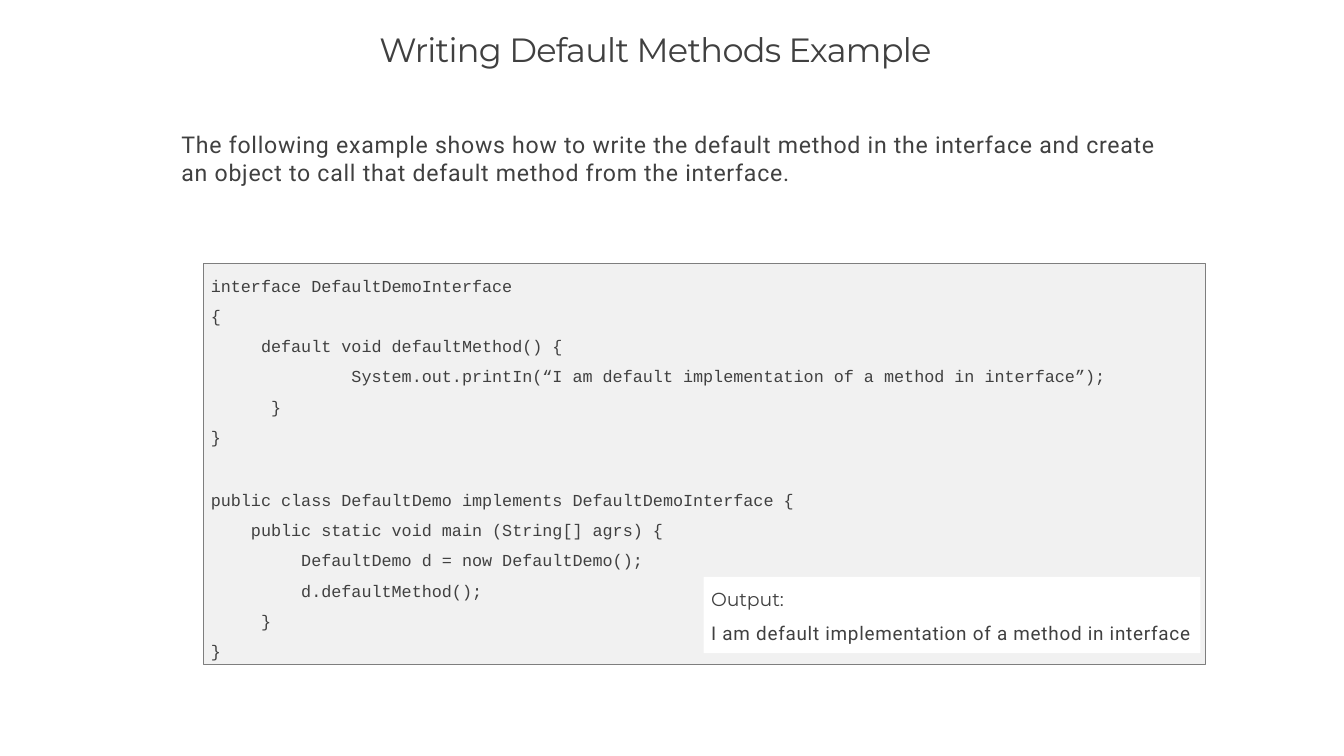
from pptx import Presentation
from pptx.dml.color import RGBColor
from pptx.enum.shapes import MSO_SHAPE
from pptx.enum.text import MSO_ANCHOR, MSO_AUTO_SIZE, PP_ALIGN
from pptx.oxml.xmlchemy import OxmlElement
from pptx.util import Inches, Pt

RECTANGLE = MSO_SHAPE.RECTANGLE
TOP = MSO_ANCHOR.TOP
LEFT = PP_ALIGN.LEFT
NO_AUTOFIT = MSO_AUTO_SIZE.NONE

THEME = {
    "text": RGBColor(0x40, 0x40, 0x40),
    "code_fill": RGBColor(0xF1, 0xF1, 0xF1),
    "code_line": RGBColor(0x7E, 0x7E, 0x7E),
    "output_fill": RGBColor(0xFF, 0xFF, 0xFF),
    "heading_font": "Montserrat",
    "body_font": "Roboto",
    "code_font": "Courier New",
    "title_size": Pt(32),
    "body_size": Pt(22),
    "output_size": Pt(18),
    "code_size": Pt(16),
}

CODE = """interface DefaultDemoInterface
{
     default void defaultMethod() {
              System.out.printIn(“I am default implementation of a method in interface”);
      }
}

public class DefaultDemo implements DefaultDemoInterface {
    public static void main (String[] agrs) {
         DefaultDemo d = now DefaultDemo();
         d.defaultMethod();
     }
}"""
CODE_PITCH = Pt(28.8)
BLANK_LINE = Pt(31.2)


def prepare_frame(shape, box, left_inset=0, top_inset=0):
    """Place a shape and return its text frame, set from the top left."""
    shape.left, shape.top, shape.width, shape.height = map(Inches, box)
    frame = shape.text_frame
    settings = {
        "margin_left": Inches(left_inset), "margin_top": Inches(top_inset),
        "margin_right": 0, "margin_bottom": 0, "word_wrap": True,
        "auto_size": NO_AUTOFIT, "vertical_anchor": TOP,
    }
    for name, value in settings.items():
        setattr(frame, name, value)
    return frame


def write_paragraph(paragraph, text, font, size, tracking=0, before=0, line_spacing=1.0):
    """Write one unbulleted paragraph; tracking is letter spacing in points."""
    properties = paragraph._p.get_or_add_pPr()
    properties.set("marL", "0")
    properties.set("indent", "0")
    properties.append(OxmlElement("a:buNone"))
    paragraph.alignment = LEFT
    paragraph.space_before = before
    paragraph.line_spacing = line_spacing
    run = paragraph.add_run()
    run.text = text
    for name, value in {"name": font, "size": size}.items():
        setattr(run.font, name, value)
    run.font.color.rgb = THEME["text"]
    if tracking:
        run._r.get_or_add_rPr().set("spc", str(round(tracking * 100)))


presentation = Presentation()
presentation.slide_width = Inches(17.78)
presentation.slide_height = Inches(10)
slide = presentation.slides.add_slide(presentation.slide_layouts[1])

# Title and introduction
title_frame = prepare_frame(slide.shapes.title, (1.08, 0.38, 15.63, 0.65), left_inset=3.94)
write_paragraph(title_frame.paragraphs[0], "Writing Default Methods Example",
                THEME["heading_font"], THEME["title_size"], tracking=-0.7)

intro_frame = prepare_frame(slide.placeholders[1], (2.4, 1.73, 13.18, 0.76))
write_paragraph(
    intro_frame.paragraphs[0],
    "The following example shows how to write the default method in the interface "
    "and create an object to call that default method from the interface.",
    THEME["body_font"], THEME["body_size"], tracking=0.75)

# Code panel with the output panel over its lower right corner
panels = [
    ((2.69, 3.49, 13.25, 5.3), 0.02, THEME["code_fill"], THEME["code_line"]),
    ((9.31, 7.63, 6.57, 1.01), 0.14, THEME["output_fill"], None),
]
frames = []
for box, top_inset, fill, line in panels:
    panel = slide.shapes.add_shape(RECTANGLE, 0, 0, 0, 0)
    panel.shadow.inherit = False
    panel.fill.solid()
    panel.fill.fore_color.rgb = fill
    if line is None:
        panel.line.fill.background()
    else:
        panel.line.color.rgb = line
        panel.line.width = Pt(0.72)
    frames.append(prepare_frame(panel, box, left_inset=0.1, top_inset=top_inset))
code_frame, output_frame = frames

for block_index, block in enumerate(CODE.split("\n\n")):
    for line_index, code_line in enumerate(block.split("\n")):
        first = block_index == line_index == 0
        paragraph = code_frame.paragraphs[0] if first else code_frame.add_paragraph()
        gap = BLANK_LINE if block_index and line_index == 0 else 0
        write_paragraph(paragraph, code_line, THEME["code_font"], THEME["code_size"],
                        before=gap, line_spacing=CODE_PITCH)

write_paragraph(output_frame.paragraphs[0], "Output:",
                THEME["heading_font"], THEME["output_size"], tracking=-0.1)
write_paragraph(output_frame.add_paragraph(),
                "I am default implementation of a method in interface",
                THEME["body_font"], THEME["output_size"], tracking=0.7, before=Pt(10.8))

presentation.save("out.pptx")
